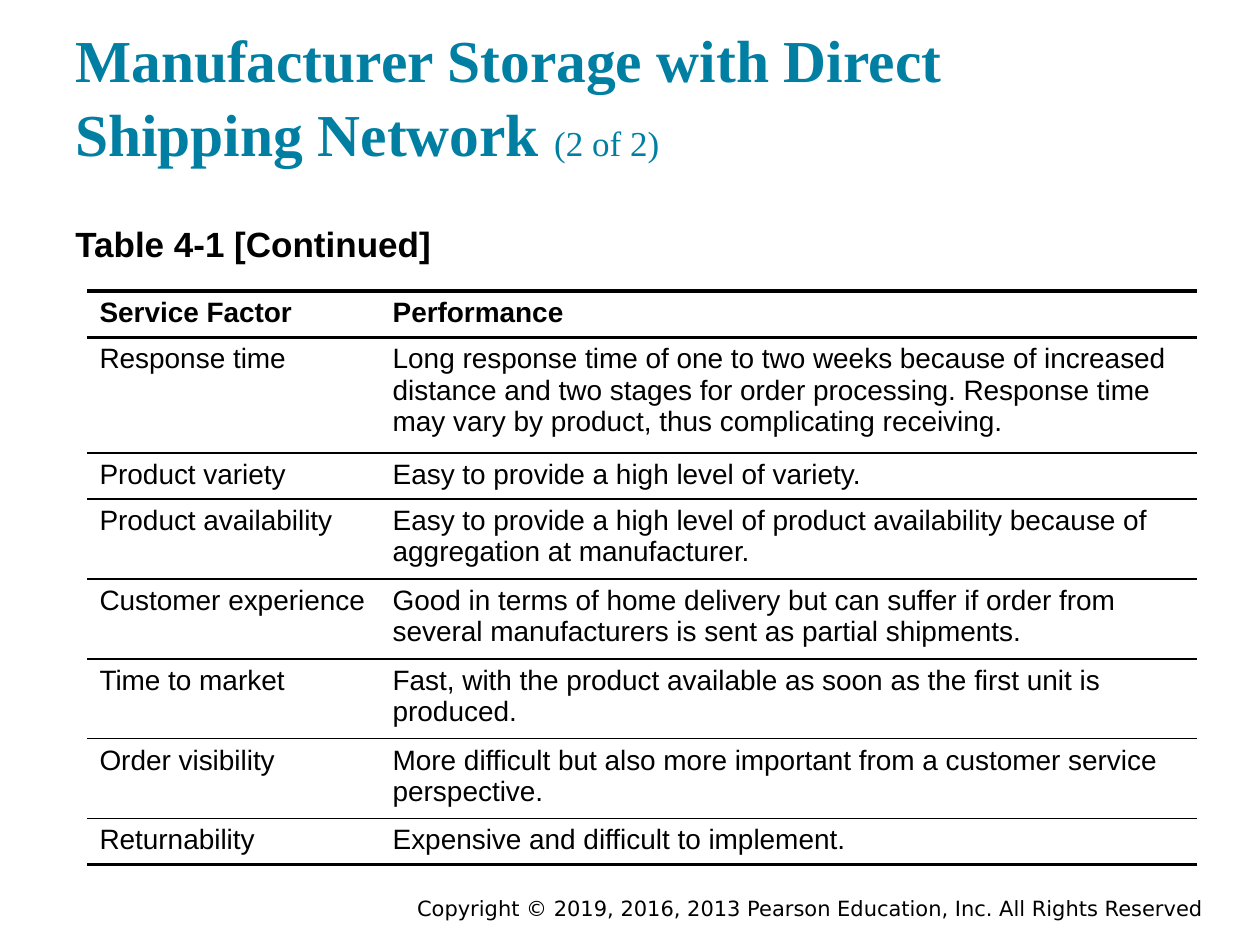
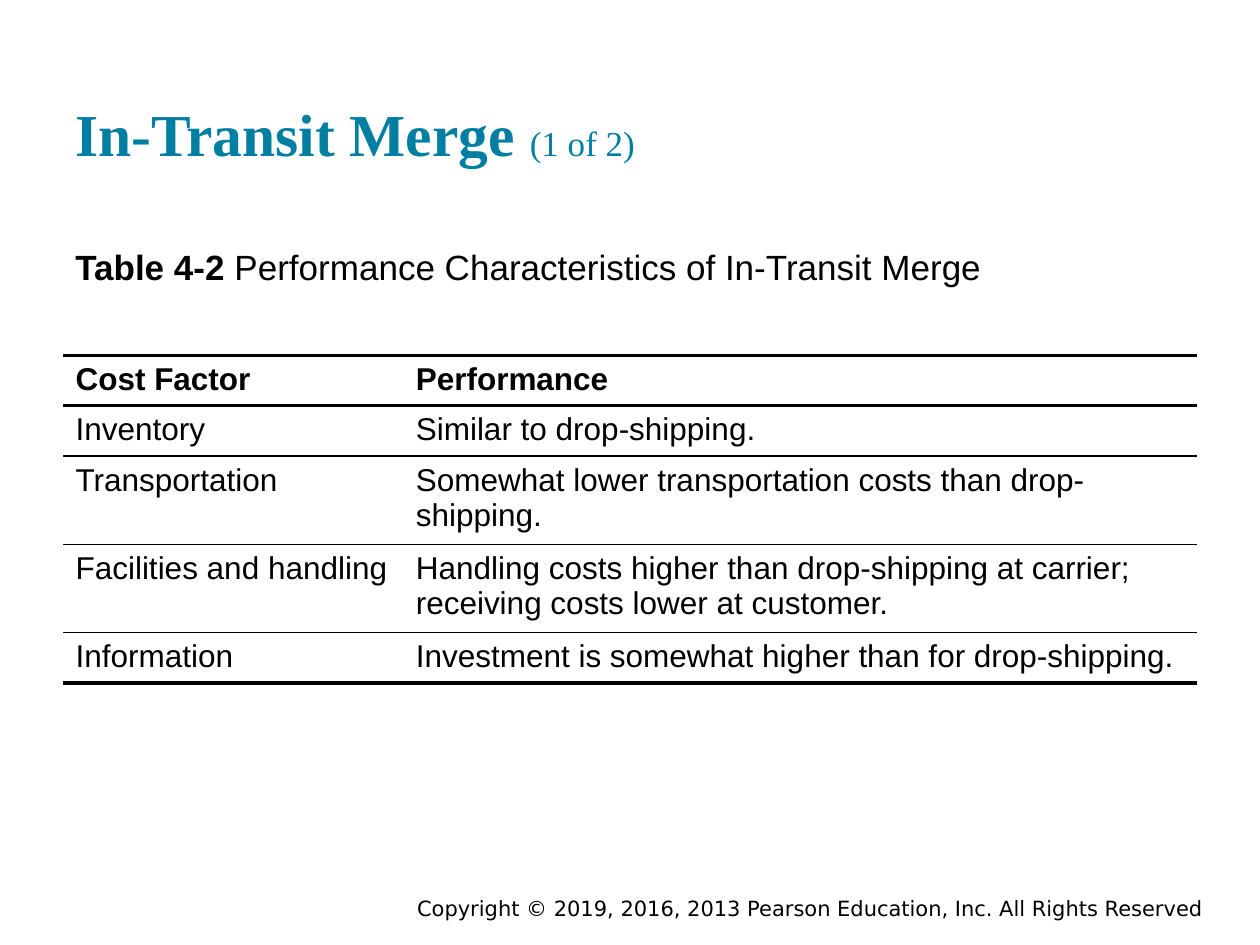
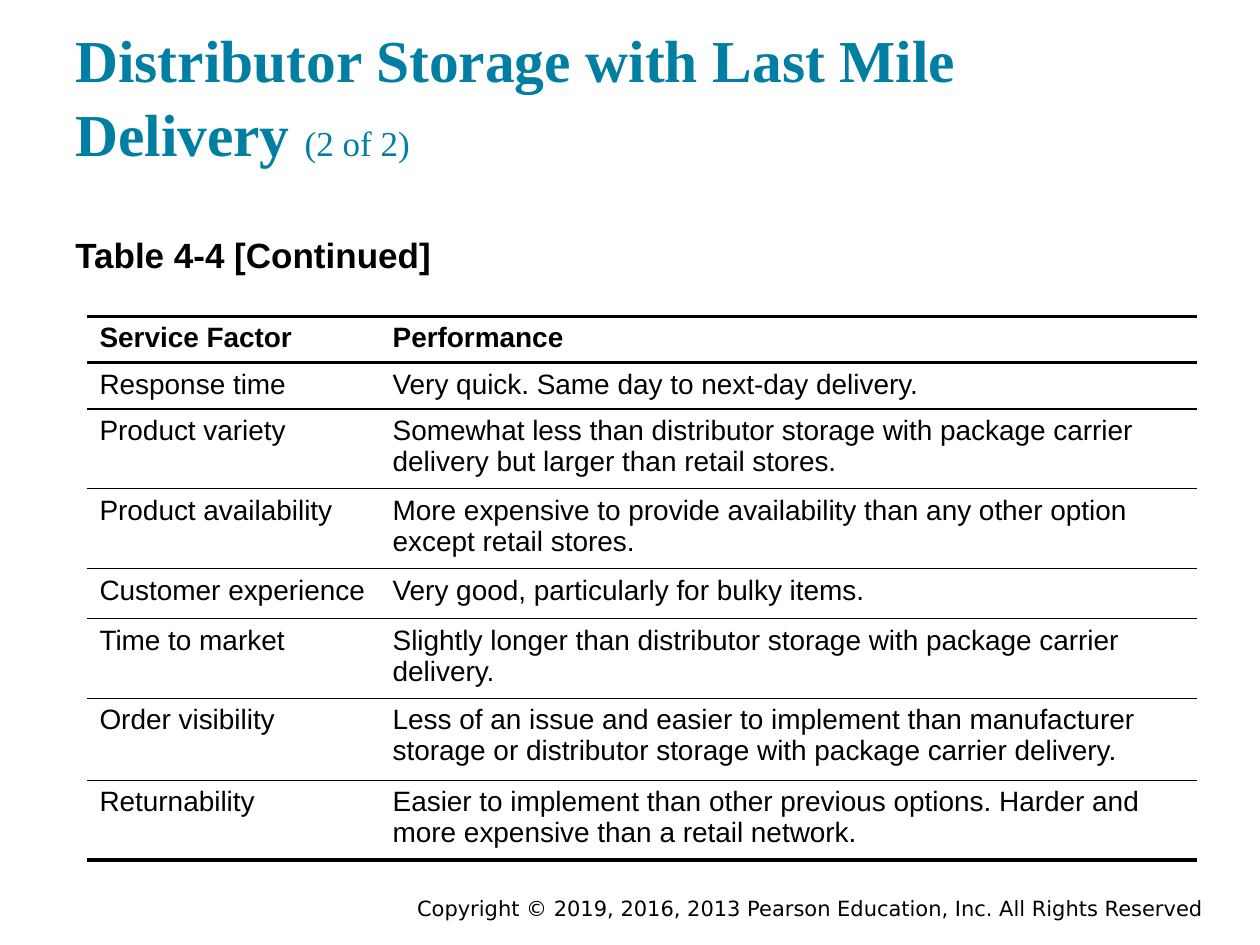
from dataclasses import dataclass

from lxml import etree
from pptx import Presentation
from pptx.dml.color import RGBColor
from pptx.enum.text import MSO_ANCHOR, PP_ALIGN
from pptx.oxml.ns import qn
from pptx.util import Pt

TOP, MIDDLE, BOTTOM = MSO_ANCHOR.TOP, MSO_ANCHOR.MIDDLE, MSO_ANCHOR.BOTTOM
LEFT, RIGHT = PP_ALIGN.LEFT, PP_ALIGN.RIGHT


@dataclass(frozen=True)
class Theme:
    title_colour: str = "007FA3"
    ink: str = "000000"
    paper: str = "FFFFFF"
    title_font: str = "Times New Roman"
    body_font: str = "Arial"
    footer_font: str = "DejaVu Sans"
    title_size: float = 34
    part_size: float = 20
    caption_size: float = 20
    footer_size: float = 12
    heavy_rule: float = 2.25
    light_rule: float = 1


@dataclass(frozen=True)
class Box:
    left: float
    top: float
    width: float
    height: float


@dataclass(frozen=True)
class TableLook:
    size: float
    columns: tuple


THEME = Theme()
SERVICE_LOOK = TableLook(16, (167.5, 467))
COST_LOOK = TableLook(18, (194.4, 453.6))
FOOTER_BOX = Box(216, 509.8, 478.8, 18)
COPYRIGHT = "Copyright © 2019, 2016, 2013 Pearson Education, Inc. All Rights Reserved"

SERVICE_HEADS = ("Service Factor", "Performance")
SERVICE_FACTORS = ("Response time", "Product variety", "Product availability",
                   "Customer experience", "Time to market", "Order visibility",
                   "Returnability")
DIRECT_SHIPPING = (
    "Long response time of one to two weeks because of increased distance and two "
    "stages for order processing. Response time may vary by product, thus "
    "complicating receiving.",
    "Easy to provide a high level of variety.",
    "Easy to provide a high level of product availability because of aggregation "
    "at manufacturer.",
    "Good in terms of home delivery but can suffer if order from several "
    "manufacturers is sent as partial shipments.",
    "Fast, with the product available as soon as the first unit is produced.",
    "More difficult but also more important from a customer service perspective.",
    "Expensive and difficult to implement.",
)
LAST_MILE = (
    "Very quick. Same day to next-day delivery.",
    "Somewhat less than distributor storage with package carrier delivery but "
    "larger than retail stores.",
    "More expensive to provide availability than any other option except retail "
    "stores.",
    "Very good, particularly for bulky items.",
    "Slightly longer than distributor storage with package carrier delivery.",
    "Less of an issue and easier to implement than manufacturer storage or "
    "distributor storage with package carrier delivery.",
    "Easier to implement than other previous options. Harder and more expensive "
    "than a retail network.",
)
IN_TRANSIT_MERGE = (
    ("Cost Factor", "Performance"),
    ("Inventory", "Similar to drop-shipping."),
    ("Transportation", "Somewhat lower transportation costs than drop-shipping."),
    ("Facilities and handling",
     "Handling costs higher than drop-shipping at carrier; receiving costs lower "
     "at customer."),
    ("Information", "Investment is somewhat higher than for drop-shipping."),
)


def style_span(span, font, size, colour, bold=False):
    span.font.name = font
    span.font.size = Pt(size)
    span.font.bold = bold
    span.font.color.rgb = RGBColor.from_string(colour)


def add_text(page, box, spans, font, colour, anchor=TOP, align=LEFT, inset=7.2):
    """Add one paragraph made of (text, size, bold) spans and return it."""
    shape = page.shapes.add_textbox(Pt(box.left), Pt(box.top),
                                    Pt(box.width), Pt(box.height))
    frame = shape.text_frame
    frame.word_wrap = True
    frame.vertical_anchor = anchor
    frame.margin_top = frame.margin_bottom = Pt(inset)
    para = frame.paragraphs[0]
    para.alignment = align
    for text, size, bold in spans:
        span = para.add_run()
        span.text = text
        style_span(span, font, size, colour, bold)
    return para


def add_title(page, box, title, part):
    para = add_text(page, box,
                    [(title + " ", THEME.title_size, True),
                     (part, THEME.part_size, False)],
                    THEME.title_font, THEME.title_colour, BOTTOM)
    para.line_spacing = 1.05


def add_caption(page, box, label, rest):
    spans = [(label, THEME.caption_size, True)]
    if rest:
        spans.append((" " + rest, THEME.caption_size, False))
    add_text(page, box, spans, THEME.body_font, THEME.ink)


def add_footer(page, box):
    add_text(page, box, [(COPYRIGHT, THEME.footer_size, False)],
             THEME.footer_font, THEME.ink, MIDDLE, RIGHT, inset=3.6)


def rule_cell(cell, above, below):
    """Rule a cell above and below, and leave its sides open."""
    properties = cell._tc.get_or_add_tcPr()
    for side, width in (("L", 0), ("R", 0), ("T", above), ("B", below)):
        line = etree.SubElement(properties, qn(f"a:ln{side}"), w=str(int(Pt(width))))
        if width:
            fill = etree.SubElement(line, qn("a:solidFill"))
            etree.SubElement(fill, qn("a:srgbClr"), val=THEME.ink)
        else:
            etree.SubElement(line, qn("a:noFill"))


def add_factor_table(page, left, top, rows, heights, look):
    table = page.shapes.add_table(len(rows), len(look.columns), Pt(left), Pt(top),
                                  Pt(sum(look.columns)), Pt(sum(heights))).table
    table.first_row = table.horz_banding = False
    for column, width in zip(table.columns, look.columns):
        column.width = Pt(width)
    rules = ([THEME.heavy_rule] * 2 + [THEME.light_rule] * (len(rows) - 2)
             + [THEME.heavy_rule])
    for index, (texts, height) in enumerate(zip(rows, heights)):
        table.rows[index].height = Pt(height)
        for cell, text in zip(table.rows[index].cells, texts):
            rule_cell(cell, rules[index], rules[index + 1])
            cell.fill.solid()
            cell.fill.fore_color.rgb = RGBColor.from_string(THEME.paper)
            cell.text_frame.text = text
            style_span(cell.text_frame.paragraphs[0].runs[0], THEME.body_font,
                       look.size, THEME.ink, bold=index == 0)


def add_table_page(deck, title, part, title_box, caption, caption_box,
                   table_at, rows, heights, look):
    page = deck.slides.add_slide(deck.slide_layouts[6])
    add_footer(page, FOOTER_BOX)
    add_title(page, title_box, title, part)
    add_caption(page, caption_box, *caption)
    add_factor_table(page, *table_at, rows, heights, look)


def service_rows(performance):
    return [SERVICE_HEADS, *zip(SERVICE_FACTORS, performance)]


def main():
    deck = Presentation()
    deck.slide_width, deck.slide_height = Pt(720), Pt(540)
    two_line_title = Box(36, 6.5, 648, 97.2)
    add_table_page(
        deck, "Manufacturer Storage with Direct Shipping Network", "(2 of 2)",
        two_line_title, ("Table 4-1 [Continued]", ""), Box(36, 120.2, 648, 33.8),
        (49.7, 166.4), service_rows(DIRECT_SHIPPING),
        [25.7, 66, 25.7, 43.8, 43.8, 43.8, 43.8, 25.7], SERVICE_LOOK)
    add_table_page(
        deck, "In-Transit Merge", "(1 of 2)", Box(36, 17.3, 648, 86.4),
        ("Table 4-2", "Performance Characteristics of In-Transit Merge"),
        Box(36, 133.2, 648, 38.2),
        (36, 203), IN_TRANSIT_MERGE, [27.4, 27.4, 47.4, 47.4, 27.4], COST_LOOK)
    add_table_page(
        deck, "Distributor Storage with Last Mile Delivery", "(2 of 2)",
        two_line_title, ("Table 4-4 [Continued]", ""), Box(36, 126, 648, 27.4),
        (49.7, 180.7), service_rows(LAST_MILE),
        [26.5, 26.5, 42.8, 42.8, 28.6, 42.8, 46.8, 42.8], SERVICE_LOOK)
    deck.save("out.pptx")


if __name__ == "__main__":
    main()
